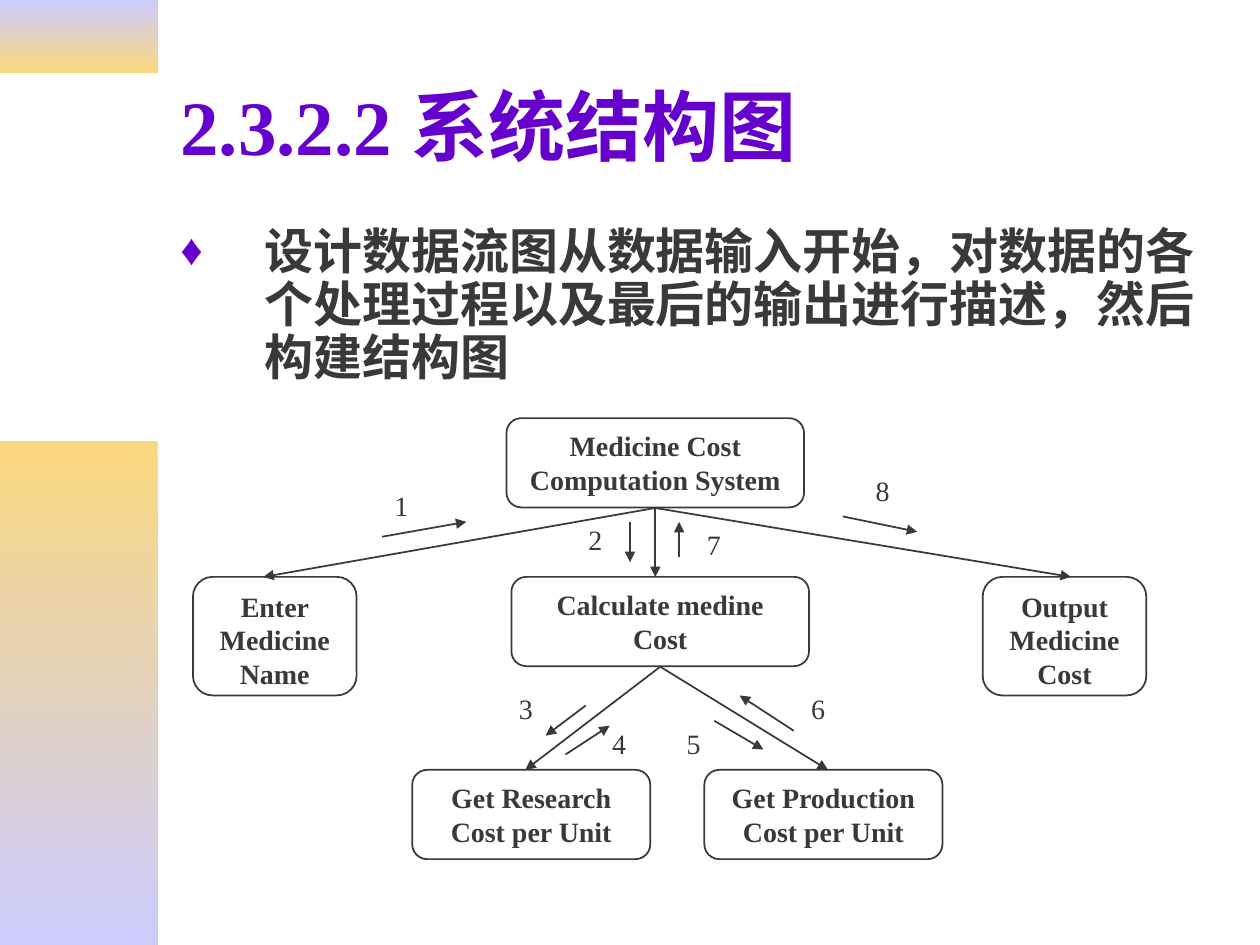
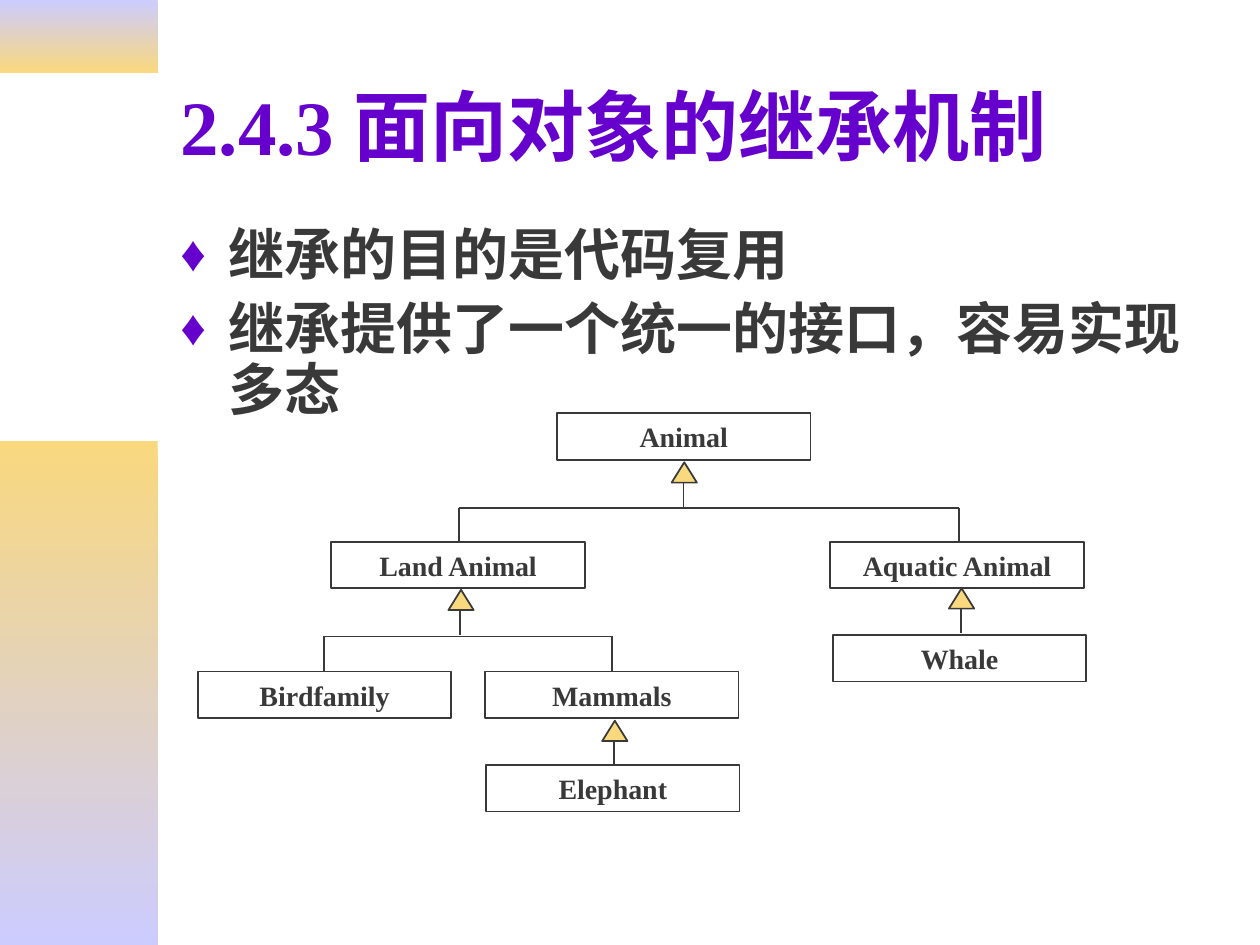
from dataclasses import dataclass

from lxml.etree import SubElement
from pptx import Presentation
from pptx.dml.color import RGBColor
from pptx.enum.shapes import MSO_CONNECTOR as Link, MSO_SHAPE as Shape
from pptx.enum.text import MSO_ANCHOR as Anchor, MSO_AUTO_SIZE as Fit, PP_ALIGN as Align
from pptx.oxml.ns import qn
from pptx.util import Cm, Pt


@dataclass(frozen=True)
class Theme:
    font: str = "Times New Roman"
    violet: str = "6600CC"
    ink: str = "393939"
    lilac: str = "CCCCFF"
    gold: str = "F9D87E"
    title_size: int = 44
    label_size: int = 16
    line_width: int = 1


def color(value):
    return RGBColor.from_string(value)


def apply(target, **values):
    for name, value in values.items():
        setattr(target, name, value)


def place(item, left, top, width, height):
    apply(item, left=Cm(left), top=Cm(top), width=Cm(width), height=Cm(height))


class Slides:
    """Holds the deck, its theme and the current page."""

    def __init__(self, theme):
        self.theme = theme
        self.deck = Presentation()
        apply(self.deck, slide_width=Cm(25.4), slide_height=Cm(19.05))
        self.page = None

    def new_page(self, title):
        self.page = self.deck.slides.add_slide(self.deck.slide_layouts[1])
        self.band(0, 1.47, self.theme.lilac, self.theme.gold)
        self.band(8.89, 10.16, self.theme.gold, self.theme.lilac)
        box = self.page.shapes.title
        place(box, 3.38, 0.84, 21.59, 3.35)
        apply(box.text_frame, vertical_anchor=Anchor.MIDDLE, auto_size=Fit.NONE)
        self.add_text(box.text_frame.paragraphs[0], title, self.theme.title_size,
                      self.theme.violet)

    def add_text(self, para, text, size, ink=None, bold=True, align=Align.LEFT):
        para.alignment = align
        span = para.add_run()
        span.text = text
        apply(span.font, name=self.theme.font, size=Pt(size), bold=bold)
        span.font.color.rgb = color(ink or self.theme.ink)

    def band(self, top, height, upper, lower):
        box = self.shape(Shape.RECTANGLE, 0, top, 3.18, height)
        box.line.fill.background()
        box.fill.gradient()
        box.fill.gradient_angle = 270
        for stop, value in zip(box.fill.gradient_stops, (upper, lower)):
            stop.color.rgb = color(value)

    def bullets(self, items, size, indent, height, gap=0):
        box = self.page.placeholders[1]
        place(box, 3.38, 4.45, 21.59, height)
        frame = box.text_frame
        frame.auto_size = Fit.NONE
        for index, item in enumerate(items):
            para = frame.add_paragraph() if index else frame.paragraphs[0]
            props = para._p.get_or_add_pPr()
            props.set("marL", str(Cm(indent)))
            props.set("indent", str(-Cm(indent)))
            tint = SubElement(props, qn("a:buClr"))
            SubElement(tint, qn("a:srgbClr"), val=self.theme.violet)
            SubElement(props, qn("a:buSzPct"), val="90000")
            SubElement(props, qn("a:buChar"), char="♦")
            apply(para, line_spacing=0.9, space_before=Pt(gap if index else 0))
            self.add_text(para, item, size)

    def shape(self, kind, left, top, width, height, fill=None):
        box = self.page.shapes.add_shape(kind, Cm(left), Cm(top), Cm(width), Cm(height))
        box.shadow.inherit = False
        if fill:
            box.fill.solid()
            box.fill.fore_color.rgb = color(fill)
        else:
            box.fill.background()
        self.stroke(box)
        return box

    def stroke(self, item):
        item.line.color.rgb = color(self.theme.ink)
        item.line.width = Pt(self.theme.line_width)

    def node(self, kind, text, left, top, width, height, side=0.25):
        """Outlined box with a centred bold caption."""
        frame = self.shape(kind, left, top, width, height).text_frame
        apply(frame, word_wrap=True, vertical_anchor=Anchor.TOP,
              margin_left=Cm(side), margin_right=Cm(side),
              margin_top=Cm(0.13), margin_bottom=Cm(0.13))
        self.add_text(frame.paragraphs[0], text, self.theme.label_size, align=Align.CENTER)

    def label(self, text, left, top):
        box = self.page.shapes.add_textbox(Cm(left), Cm(top), Cm(1.09), Cm(0.94))
        box.text_frame.word_wrap = True
        self.add_text(box.text_frame.paragraphs[0], text, self.theme.label_size, bold=False)

    def line(self, start, end, arrow=False):
        link = self.page.shapes.add_connector(
            Link.STRAIGHT, *(Cm(value) for value in (*start, *end)))
        self.stroke(link)
        if arrow:
            SubElement(link.line._get_or_add_ln(), qn("a:tailEnd"), type="triangle")
        SubElement(link._element.spPr, qn("a:effectLst"))

    def inherit_mark(self, left, top):
        """Filled triangle with its stem below."""
        self.shape(Shape.ISOSCELES_TRIANGLE, left, top, 0.51, 0.41, self.theme.gold)
        stem = left + 0.24
        self.line((stem, top + 0.41), (stem, top + 0.91))

    def fork(self, left, right, top, bottom):
        self.line((left, top), (right, top))
        for end in (left, right):
            self.line((end, top), (end, bottom))


def structure_chart(slides):
    slides.new_page("2.3.2.2 系统结构图")
    slides.bullets(["设计数据流图从数据输入开始，对数据的各个处理过程以及最后的输出进行描述，然后构建结构图"],
                   size=28, indent=1.7, height=3.68)

    # Modules
    wide, medium, narrow = (6, 1.8), (4.8, 1.8), (3.3, 2.39)
    top_row, middle_row, bottom_row = 8.43, 11.63, 15.52
    modules = [
        ("Get Research Cost per Unit", 8.31, bottom_row, medium),
        ("Enter Medicine Name", 3.89, middle_row, narrow),
        ("Get Production Cost per Unit", 14.2, bottom_row, medium),
        ("Output Medicine Cost", 19.81, middle_row, narrow),
        ("Medicine Cost Computation System", 10.21, top_row, wide),
        ("Calculate medine Cost", 10.31, middle_row, wide),
    ]
    for text, left, top, size in modules:
        slides.node(Shape.FLOWCHART_ALTERNATE_PROCESS, text, left, top, *size, side=0.3)

    # Calls between modules
    calls = [
        ((13.21, 10.24), middle_row, (5.31, 13.21, 21.59)),
        ((13.31, 13.44), bottom_row, (10.59, 16.69)),
    ]
    for start, row, ends in calls:
        for end in ends:
            slides.line(start, (end, row), arrow=True)

    # Numbered data flows: start, end, label position
    flows = [
        ((7.7, 10.82), (9.4, 10.52), (7.7, 9.73)),
        ((12.7, 10.52), (12.7, 11.33), (11.61, 10.41)),
        ((11.81, 14.22), (11, 14.83), (10.21, 13.82)),
        ((11.4, 15.21), (12.29, 14.63), (12.09, 14.53)),
        ((14.4, 14.53), (15.39, 15.11), (13.59, 14.53)),
        ((16, 14.73), (14.91, 14.02), (16.1, 13.82)),
        ((13.69, 11.23), (13.69, 10.52), (14, 10.52)),
        ((16.99, 10.41), (18.49, 10.72), (17.4, 9.42)),
    ]
    for number, (start, end, spot) in enumerate(flows, 1):
        slides.line(start, end, arrow=True)
        slides.label(str(number), *spot)


def inheritance_tree(slides):
    slides.new_page("2.4.3 面向对象的继承机制")
    slides.bullets(["继承的目的是代码复用", "继承提供了一个统一的接口，容易实现多态"],
                   size=32, indent=0.97, height=4.47, gap=8)

    # Classes
    classes = [
        ("Animal", 11.23, 8.33),
        ("Land Animal", 6.68, 10.92),
        ("Aquatic Animal", 16.74, 10.92),
        ("Birdfamily", 3.99, 13.54),
        ("Mammals", 9.78, 13.54),
        ("Elephant", 9.8, 15.42),
        ("Whale", 16.79, 12.8),
    ]
    for name, left, top in classes:
        slides.node(Shape.RECTANGLE, name, left, top, 5.11, 0.94)

    # Inheritance links
    for spot in ((13.54, 9.32), (9.04, 11.89), (19.13, 11.86), (12.14, 14.53)):
        slides.inherit_mark(*spot)
    slides.fork(9.25, 19.33, 10.24, 10.92)
    slides.fork(6.53, 12.34, 12.83, 13.54)


def main():
    slides = Slides(Theme())
    structure_chart(slides)
    inheritance_tree(slides)
    slides.deck.save("out.pptx")


if __name__ == "__main__":
    main()
